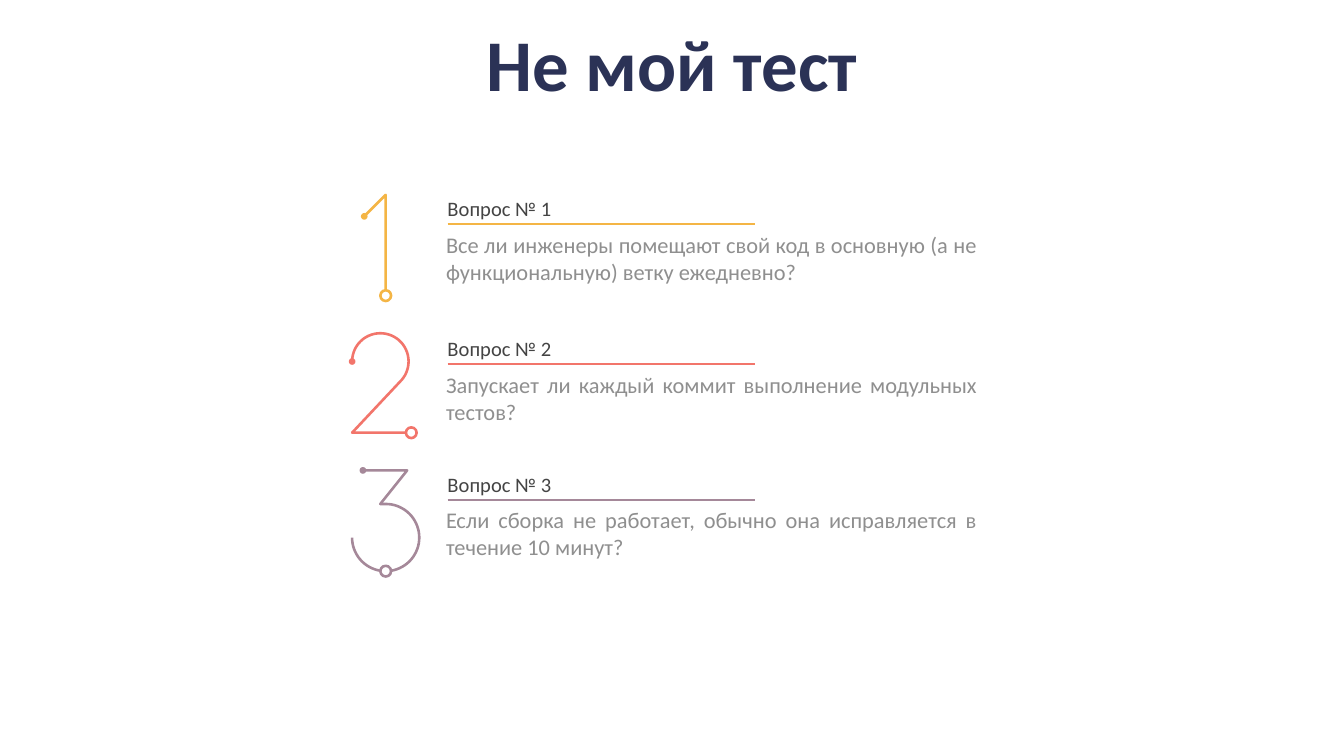
from math import cos, radians, sin

from lxml.etree import SubElement
from pptx import Presentation
from pptx.dml.color import RGBColor
from pptx.enum.shapes import MSO_CONNECTOR, MSO_SHAPE
from pptx.enum.text import MSO_ANCHOR, MSO_AUTO_SIZE, PP_ALIGN
from pptx.oxml.ns import qn
from pptx.util import Inches, Pt

NAVY = RGBColor(0x2B, 0x32, 0x56)
DARK = RGBColor(0x44, 0x44, 0x44)
GREY = RGBColor(0x8F, 0x8F, 0x8F)
WHITE = RGBColor(0xFF, 0xFF, 0xFF)
YELLOW = RGBColor(0xF4, 0xB5, 0x45)
CORAL = RGBColor(0xF2, 0x75, 0x6B)
MAUVE = RGBColor(0xA5, 0x88, 0x99)

RULE_LEFT, RULE_WIDTH = 3.33, 2.29
BODY_LEFT, BODY_WIDTH = 3.22, 4.15
HEAD_HEIGHT = 0.19
RULE_DROP = 0.21  # from the top of a heading to its rule
DOT, RING = 0.05, 0.08
STROKE = Pt(1.4)


def arc(cx, cy, radius, start, end):
    """Points of an arc, one every 5 degrees, clockwise from the right."""
    return [(cx + radius * cos(radians(a)), cy + radius * sin(radians(a)))
            for a in range(start, end + 1, 5)]


def write(sp, text, size, color, align, margins=(0, 0), bold=False):
    tf = sp.text_frame
    tf.text = text
    tf.word_wrap = True
    tf.auto_size = MSO_AUTO_SIZE.NONE
    tf.vertical_anchor = MSO_ANCHOR.TOP
    tf.margin_left = tf.margin_right = Inches(margins[0])
    tf.margin_top = tf.margin_bottom = Inches(margins[1])
    p = tf.paragraphs[0]
    p.alignment = align
    font = p.runs[0].font
    font.name, font.size, font.bold = "Calibri", Pt(size), bold
    font.color.rgb = color


# Heading top, body height, colour, question, digit stroke, ring centre
questions = [
    (1.46, 0.58, YELLOW,
     "Все ли инженеры помещают свой код в основную (а не функциональную) ветку ежедневно?",
     [(2.71, 1.61), (2.87, 1.45), (2.87, 2.16)], (2.87, 2.2)),
    (2.5, 0.5, CORAL,
     "Запускает ли каждый коммит выполнение модульных тестов?",
     arc(2.83, 2.69, 0.21, 180, 400) + [(2.62, 3.22), (3.02, 3.22)], (3.06, 3.22)),
    (3.51, 0.5, MAUVE,
     "Если сборка не работает, обычно она исправляется в течение 10 минут?",
     [(2.7, 3.5), (3.03, 3.5), (2.83, 3.75)] + arc(2.87, 4, 0.25, 265, 540), (2.87, 4.25)),
]

# Widescreen slide, 16:9
prs = Presentation()
prs.slide_width = Inches(10)
prs.slide_height = prs.slide_width * 9 // 16
s = prs.slides.add_slide(prs.slide_layouts[5])

# Title
title = s.shapes.title
title.left, title.top = 0, Inches(0.14)
title.width, title.height = prs.slide_width, Inches(0.66)
write(title, "Не мой тест", 39, NAVY, PP_ALIGN.CENTER, bold=True)

for number, (top, height, color, question, stroke, ring) in enumerate(questions, 1):
    # Digit: an open stroke
    points = [(Inches(x), Inches(y)) for x, y in stroke]
    builder = s.shapes.build_freeform(*points[0])
    builder.add_line_segments(points[1:], close=False)
    digit = builder.convert_to_shape()
    digit.shadow.inherit = False
    digit.fill.background()
    digit.line.color.rgb = color
    digit.line.width = STROKE

    # Dot at the start of the stroke, and ring
    for (x, y), size, fill in ((stroke[0], DOT, color), (ring, RING, WHITE)):
        sp = s.shapes.add_shape(MSO_SHAPE.OVAL, Inches(x - size / 2), Inches(y - size / 2),
                                Inches(size), Inches(size))
        sp.shadow.inherit = False
        sp.fill.solid()
        sp.fill.fore_color.rgb = fill
        if fill == WHITE:
            sp.line.color.rgb = color
            sp.line.width = STROKE
        else:
            sp.line.fill.background()

    # Rule under the heading
    rule_y = Inches(top + RULE_DROP)
    rule = s.shapes.add_connector(MSO_CONNECTOR.STRAIGHT, Inches(RULE_LEFT), rule_y,
                                  Inches(RULE_LEFT + RULE_WIDTH), rule_y)
    rule.line.color.rgb = color
    rule.line.width = Pt(1)
    SubElement(rule._element.spPr, qn("a:effectLst"))

    # Heading and question
    heading = s.shapes.add_textbox(Inches(RULE_LEFT), Inches(top), Inches(1.36),
                                   Inches(HEAD_HEIGHT))
    write(heading, f"Вопрос № {number}", 11, DARK, PP_ALIGN.LEFT)
    body = s.shapes.add_textbox(Inches(BODY_LEFT), rule_y, Inches(BODY_WIDTH), Inches(height))
    write(body, question, 12, GREY, PP_ALIGN.JUSTIFY, margins=(0.1, 0.05))

prs.save("out.pptx")
